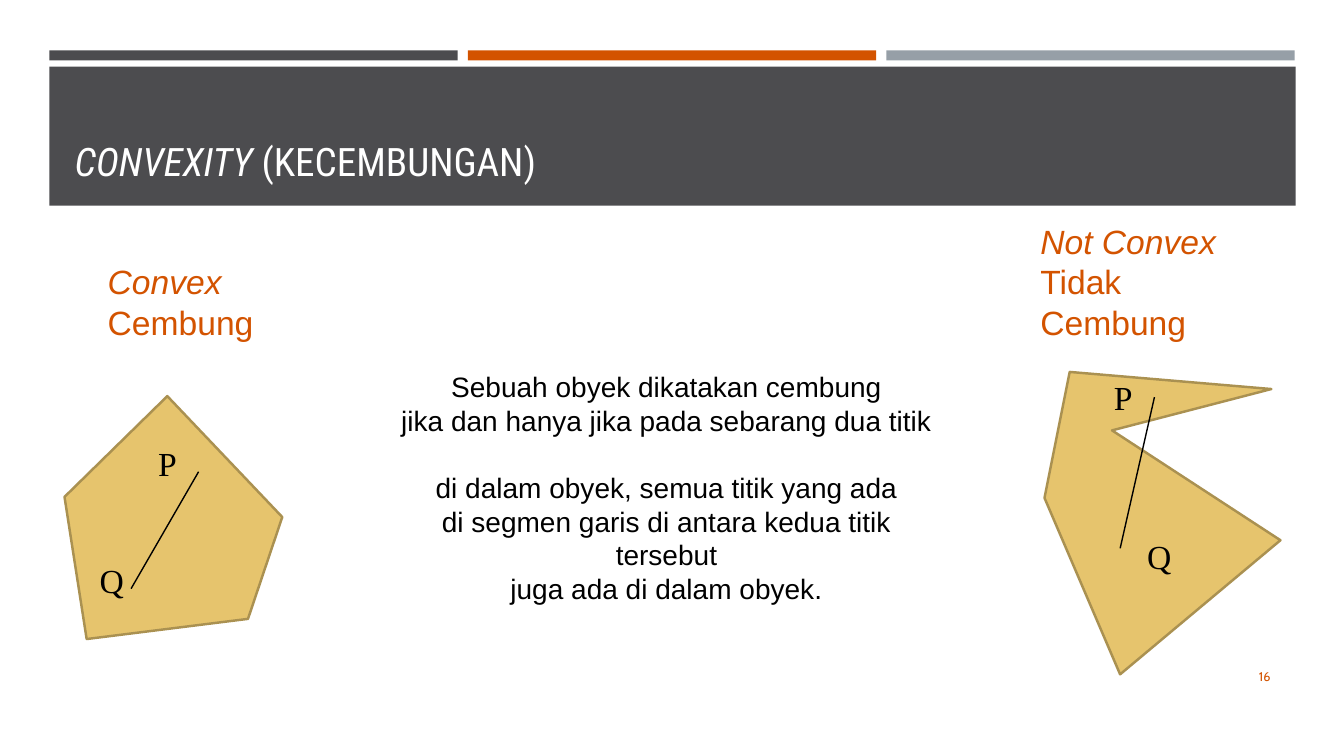
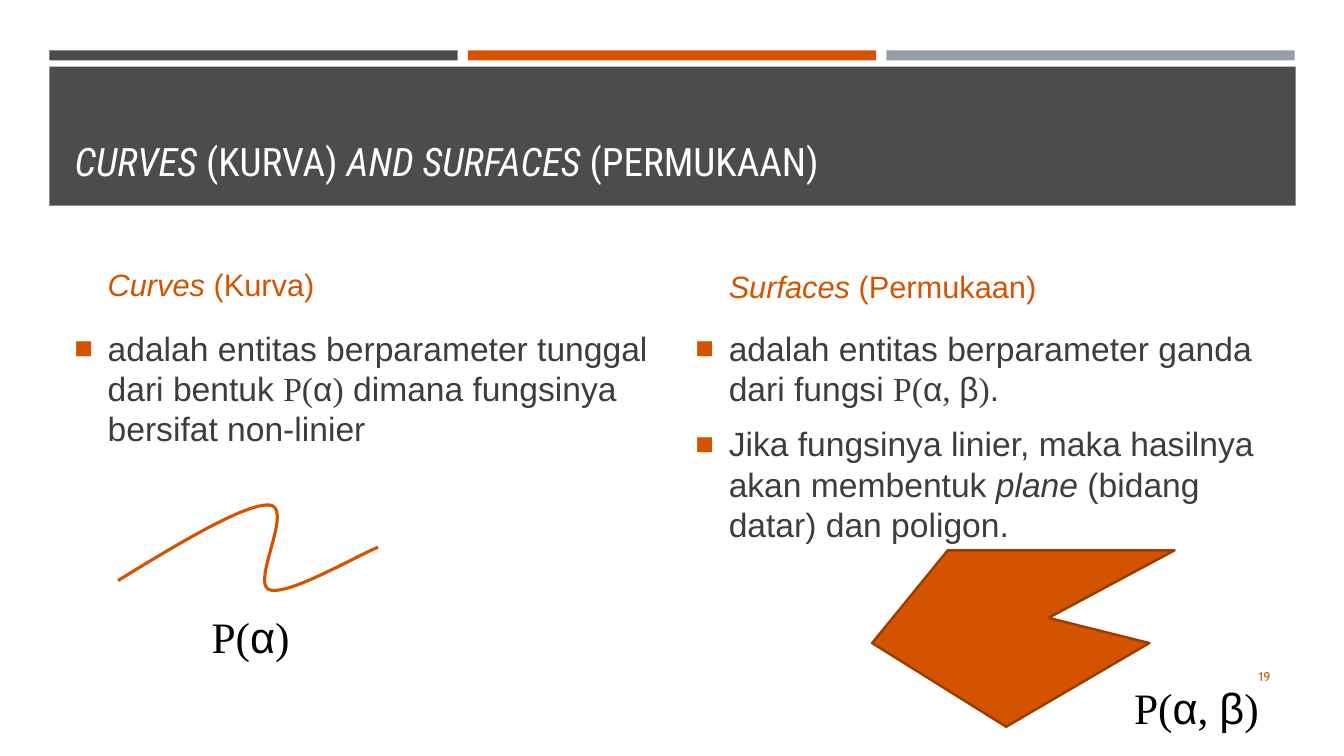
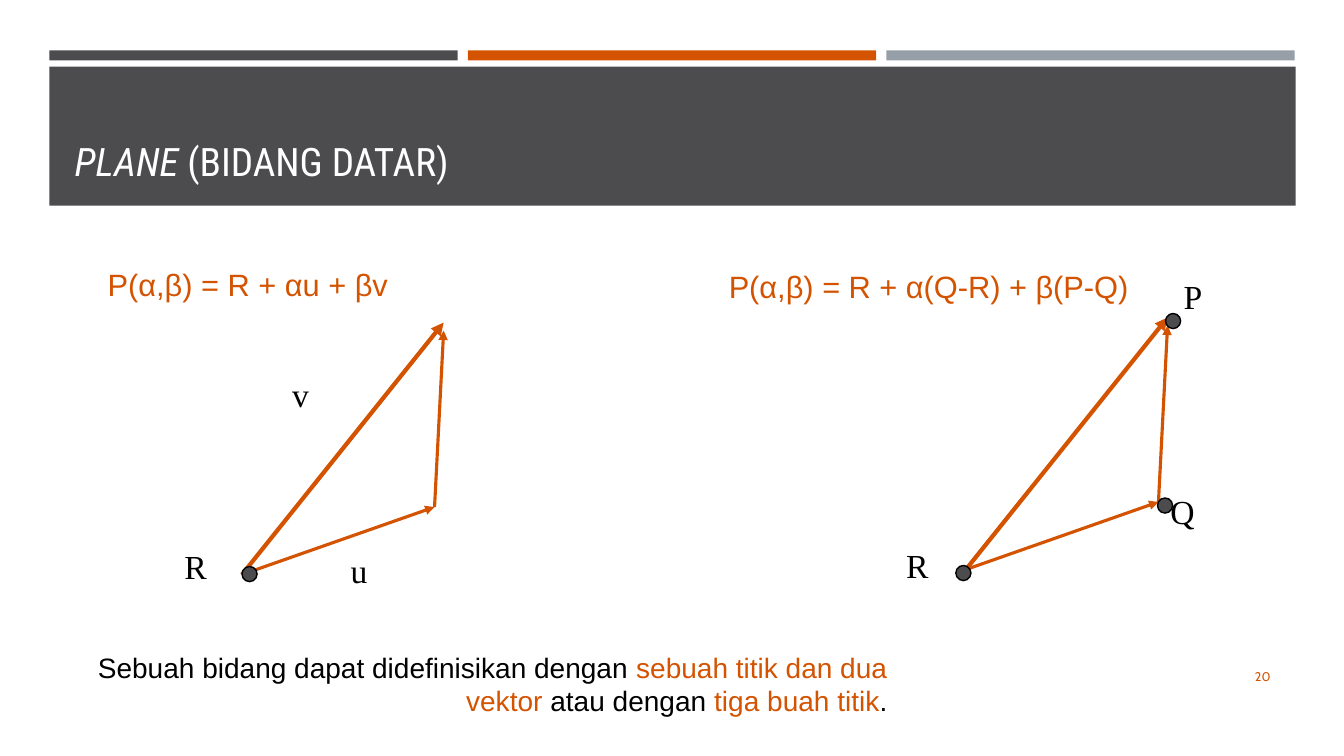
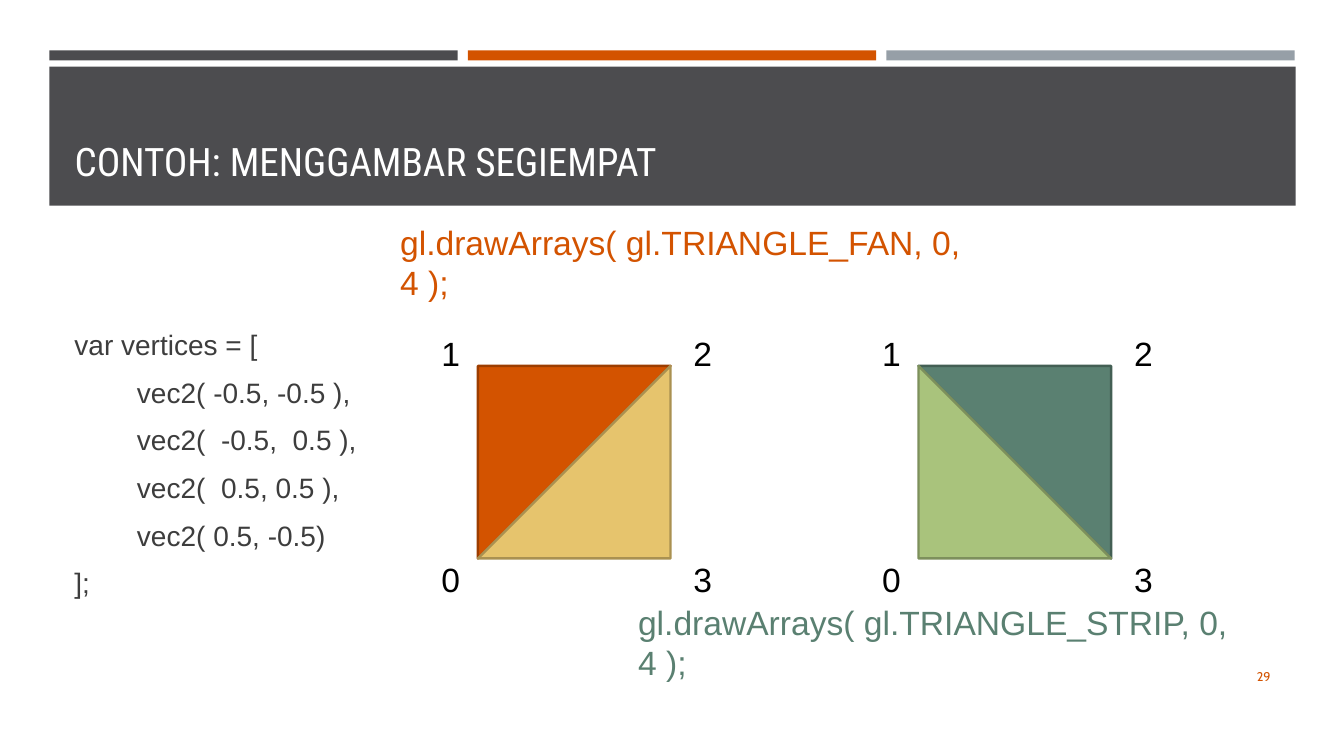
from lxml import etree
from pptx import Presentation
from pptx.dml.color import RGBColor
from pptx.enum.shapes import MSO_CONNECTOR, MSO_SHAPE
from pptx.enum.text import MSO_ANCHOR, MSO_AUTO_SIZE, PP_ALIGN
from pptx.oxml.ns import qn
from pptx.util import Inches, Pt

RECT, ELLIPSE, TRIANGLE = MSO_SHAPE.RECTANGLE, MSO_SHAPE.OVAL, MSO_SHAPE.RIGHT_TRIANGLE
TOP, MIDDLE, BOTTOM = MSO_ANCHOR.TOP, MSO_ANCHOR.MIDDLE, MSO_ANCHOR.BOTTOM
LEFT, CENTER, RIGHT = PP_ALIGN.LEFT, PP_ALIGN.CENTER, PP_ALIGN.RIGHT
STRAIGHT = MSO_CONNECTOR.STRAIGHT
NO_FIT = MSO_AUTO_SIZE.NONE

COLORS = {
    "dark": "4C4C4F", "accent": "D35300", "accent_edge": "9C3D00", "grey": "969FA7",
    "white": "FFFFFF", "black": "000000", "body": "3D3D3D",
    "sand": "E6C46D", "sand_edge": "AA9151", "teal": "5A8071", "teal_edge": "435F54",
    "green": "A9C37C", "green_edge": "7D905C",
}
SANS, SERIF, TITLE_FONT, NUMBER_FONT = "Arial", "Times New Roman", "Roboto Condensed", "Cabin"
MARKS = {"*": "italic", "$": "serif", "|": "accent"}


def color(name):
    return RGBColor.from_string(COLORS[name])


def split_marks(text):
    active, part = set(), ""
    for char in text:
        if char in MARKS:
            if part:
                yield part, frozenset(active)
            active ^= {MARKS[char]}
            part = ""
        else:
            part += char
    if part:
        yield part, frozenset(active)


def bezier(points, steps=24):
    curve = [points[0]]
    for i in range(0, len(points) - 1, 3):
        a, b, c, d = points[i:i + 4]
        for step in range(1, steps + 1):
            t = step / steps
            u = 1 - t
            curve.append(tuple(
                u**3 * a[k] + 3 * u * u * t * b[k] + 3 * u * t * t * c[k] + t**3 * d[k]
                for k in (0, 1)))
    return curve


class Deck:
    """Holds the deck style and the current slide."""

    def __init__(self):
        self.prs = Presentation()
        self.prs.slide_width, self.prs.slide_height = Inches(13.33), Inches(7.5)
        self.shapes = None

    def slide(self, title, number):
        self.shapes = self.prs.slides.add_slide(self.prs.slide_layouts[5]).shapes
        for i, fill in enumerate(("dark", "accent", "grey")):
            self.shape(RECT, 0.49 + 4.15 * i, 0.5, 4.05, 0.1, fill)
        band = self.shape(RECT, 0.49, 0.66, 12.36, 1.38, "dark")
        sp = self.shapes.title
        sp.left, sp.top, sp.width, sp.height = map(Inches, (0.64, 0.8, 12.06, 1.08))
        band._element.addnext(sp._element)
        self.fill_text(sp.text_frame, [title], 28, "white", TITLE_FONT, LEFT, BOTTOM)
        self.text(11.55, 6.51, 1.15, 0.4, [str(number)], 9, "accent", NUMBER_FONT, RIGHT, MIDDLE)

    def fill_text(self, tf, lines, size, fill, font, align, anchor):
        tf.word_wrap, tf.auto_size, tf.vertical_anchor = True, NO_FIT, anchor
        for i, line in enumerate(lines):
            p = tf.add_paragraph() if i else tf.paragraphs[0]
            p.alignment = align
            for part, marks in split_marks(line):
                for j, piece in enumerate(part.split("\n")):
                    if j:
                        p.add_line_break()
                    if piece:
                        r = p.add_run()
                        r.text = piece
                        r.font.size = Pt(size)
                        r.font.name = SERIF if "serif" in marks else font
                        r.font.italic = "italic" in marks
                        r.font.color.rgb = color("accent" if "accent" in marks else fill)

    def text(self, x, y, w, h, lines, size, fill="black", font=SANS, align=LEFT, anchor=TOP):
        tf = self.shapes.add_textbox(*map(Inches, (x, y, w, h))).text_frame
        self.fill_text(tf, lines, size, fill, font, align, anchor)
        return tf

    def label(self, x, y, text, font=SERIF):
        self.text(x, y, 0.5, 0.5, [text], 24, font=font)

    def heading(self, x, y, w, h, text, size=22, fill="accent"):
        tf = self.text(x, y, w, h, [text], size, fill, anchor=BOTTOM)
        self.space(tf, size)

    def space(self, tf, size):
        for p in tf.paragraphs:
            p.space_before, p.space_after = Pt(size / 5), Pt(6)

    def indent(self, p, left, first=0):
        pPr = p._p.get_or_add_pPr()
        pPr.set("marL", str(Inches(left)))
        pPr.set("indent", str(Inches(first)))
        return pPr

    def bullets(self, x, y, w, h, lines):
        tf = self.text(x, y, w, h, lines, 24, "body")
        self.space(tf, 24)
        for p in tf.paragraphs:
            pPr = self.indent(p, 0.33, -0.33)
            clr = etree.SubElement(pPr, qn("a:buClr"))
            etree.SubElement(clr, qn("a:srgbClr"), val=COLORS["accent"])
            etree.SubElement(pPr, qn("a:buSzPct"), val="92000")
            etree.SubElement(pPr, qn("a:buFont"), typeface=SANS)
            etree.SubElement(pPr, qn("a:buChar"), char="■")

    def paint(self, sp, fill=None, edge=None, width=1.75):
        sp.shadow.inherit = False
        if fill:
            sp.fill.solid()
            sp.fill.fore_color.rgb = color(fill)
        else:
            sp.fill.background()
        if edge:
            sp.line.color.rgb = color(edge)
            sp.line.width = Pt(width)
        else:
            sp.line.fill.background()
        return sp

    def shape(self, kind, x, y, w, h, fill, edge=None, width=1.75, rotation=0):
        sp = self.shapes.add_shape(kind, *map(Inches, (x, y, w, h)))
        sp.rotation = rotation
        return self.paint(sp, fill, edge, width)

    def dot(self, x, y):
        self.shape(ELLIPSE, x, y, 0.15, 0.15, "dark", "black", 1)

    def outline(self, points, fill=None, edge=None, width=1.75):
        pts = [(Inches(x), Inches(y)) for x, y in points]
        builder = self.shapes.build_freeform(*pts[0])
        builder.add_line_segments(pts[1:], close=fill is not None)
        self.paint(builder.convert_to_shape(), fill, edge, width)

    def line(self, start, end, fill="black", width=1, arrow=False):
        sp = self.shapes.add_connector(STRAIGHT, *map(Inches, (*start, *end)))
        sp.line.color.rgb = color(fill)
        sp.line.width = Pt(width)
        spPr = sp._element.spPr
        if arrow:
            etree.SubElement(spPr.find(qn("a:ln")), qn("a:tailEnd"), type="triangle")
        etree.SubElement(spPr, qn("a:effectLst"))

    def vectors(self, x, y):
        start, corner, tip = (x, y), (x + 1.91, y - 0.67), (x + 2, y - 2.5)
        self.line(start, tip, "accent", 3, True)
        self.line(start, corner, "accent", 2.25, True)
        self.line(corner, (x + 2, y - 2.42), "accent", 2.25, True)

    def square(self, x, y, triangles):
        for rotation, fill in triangles:
            self.shape(TRIANGLE, x, y, 1.91, 1.91, fill, fill + "_edge", rotation=rotation)
        corners = ((-0.46, 1.87), (-0.46, -0.38), (2.04, -0.38), (2.04, 1.87))
        for i, (dx, dy) in enumerate(corners):
            self.label(x + dx, y + dy, str(i), SANS)


def convexity(deck):
    deck.slide("*CONVEXITY* (KECEMBUNGAN)", 16)
    deck.heading(0.97, 2.83, 1.83, 0.61, "*Convex*\nCembung", 24)
    deck.heading(10.22, 2.83, 2.48, 0.61, "*Not Convex*\nTidak Cembung", 24)
    deck.outline([(0.64, 4.93), (1.66, 3.93), (2.8, 5.13), (2.46, 6.14), (0.86, 6.34)],
                 "sand", "sand_edge")
    deck.line((1.3, 5.84), (1.97, 4.68))
    deck.label(1.47, 4.34, "P")
    deck.label(0.89, 5.51, "Q")
    deck.outline([(10.36, 4.94), (10.61, 3.69), (12.61, 3.86), (11.03, 4.27),
                  (12.7, 5.36), (11.11, 6.69)], "sand", "sand_edge")
    deck.line((11.45, 3.94), (11.11, 5.44))
    deck.label(10.95, 3.69, "P")
    deck.label(11.28, 5.27, "Q")
    tf = deck.text(3.85, 3.62, 5.52, 2.45, [
        "Sebuah obyek dikatakan cembung\njika dan hanya jika pada sebarang dua titik",
        "di dalam obyek, semua titik yang ada\n"
        "di segmen garis di antara kedua titik tersebut\njuga ada di dalam obyek.",
    ], 20, align=CENTER)
    tf.paragraphs[0].space_after = Pt(24)


def curves_and_surfaces(deck):
    deck.slide("*CURVES *(KURVA) *AND SURFACES *(PERMUKAAN)", 19)
    deck.heading(0.97, 2.46, 5.56, 0.59, "*Curves *(Kurva)")
    deck.bullets(0.64, 3.2, 5.9, 1.47, [
        "adalah entitas berparameter tunggal dari bentuk $P($α$)$ dimana fungsinya "
        "bersifat non-linier"])
    deck.heading(7.13, 2.46, 5.56, 0.61, "*Surfaces *(Permukaan)")
    deck.bullets(6.8, 3.2, 5.9, 2.42, [
        "adalah entitas berparameter ganda dari fungsi $P($α$, $β$)$.",
        "Jika fungsinya linier, maka hasilnya akan membentuk *plane* (bidang datar) "
        "dan poligon."])
    deck.outline(bezier([(1.17, 5.76), (1.79, 5.38), (2.42, 5), (2.67, 5.01), (2.92, 5.03),
                         (2.49, 5.78), (2.67, 5.85), (2.85, 5.92), (3.56, 5.5), (3.75, 5.43)]),
                 edge="accent", width=2.25)
    deck.text(2, 6, 1.2, 0.62, ["$P($α$)$"], 31)
    deck.outline([(8.65, 6.38), (9.4, 5.46), (11.65, 5.46), (10.4, 6.13), (11.4, 6.38),
                  (9.98, 7.21)], "accent", "accent_edge")
    deck.text(11.15, 6.71, 1.7, 0.62, ["$P($α$, $β$)$"], 31)


def plane(deck):
    deck.slide("*PLANE* (BIDANG DATAR)", 20)
    deck.heading(0.97, 2.46, 5.56, 0.59, "P(α,β) = R + αu + βv")
    deck.heading(7.13, 2.46, 5.56, 0.61, "P(α,β) = R + α(Q-R) + β(P-Q)")
    deck.vectors(2.4, 5.7)
    deck.vectors(9.58, 5.65)
    for x, y, name in ((3.38, 5.41, "u"), (2.8, 3.66, "v"), (1.73, 5.37, "R"),
                       (11.64, 2.69, "P"), (8.89, 5.36, "R"), (11.51, 4.82, "Q")):
        deck.label(x, y, name)
    for x, y in ((2.4, 5.62), (9.48, 5.61), (11.48, 4.94), (11.56, 3.11)):
        deck.dot(x, y)
    deck.text(0.17, 6.4, 8.73, 0.77, [
        "Sebuah bidang dapat didefinisikan dengan |sebuah titik dan dua vektor |"
        "atau dengan |tiga buah titik|."], 20, align=RIGHT)


def quadrilateral(deck):
    deck.slide("CONTOH: MENGGAMBAR SEGIEMPAT", 29)
    deck.heading(3.87, 2.46, 5.98, 0.59, "gl.drawArrays( gl.TRIANGLE_FAN, 0, 4 );", 24)
    tf = deck.text(0.64, 3.2, 3.3, 3.21, [
        "var vertices = [", "vec2( -0.5, -0.5 ),", "vec2(  -0.5,  0.5 ),",
        "vec2(  0.5, 0.5 ),", "vec2( 0.5, -0.5)", "];"], 20, "body")
    deck.space(tf, 20)
    for p in tf.paragraphs[1:-1]:
        deck.indent(p, 0.62)
    deck.heading(6.23, 6.21, 6.12, 0.61, "gl.drawArrays( gl.TRIANGLE_STRIP, 0, 4 );", 24, "teal")
    deck.square(4.74, 3.63, ((90, "accent"), (270, "sand")))
    deck.square(9.11, 3.63, ((180, "teal"), (0, "green")))


def main():
    deck = Deck()
    for build in (convexity, curves_and_surfaces, plane, quadrilateral):
        build(deck)
    deck.prs.save("out.pptx")


if __name__ == "__main__":
    main()
